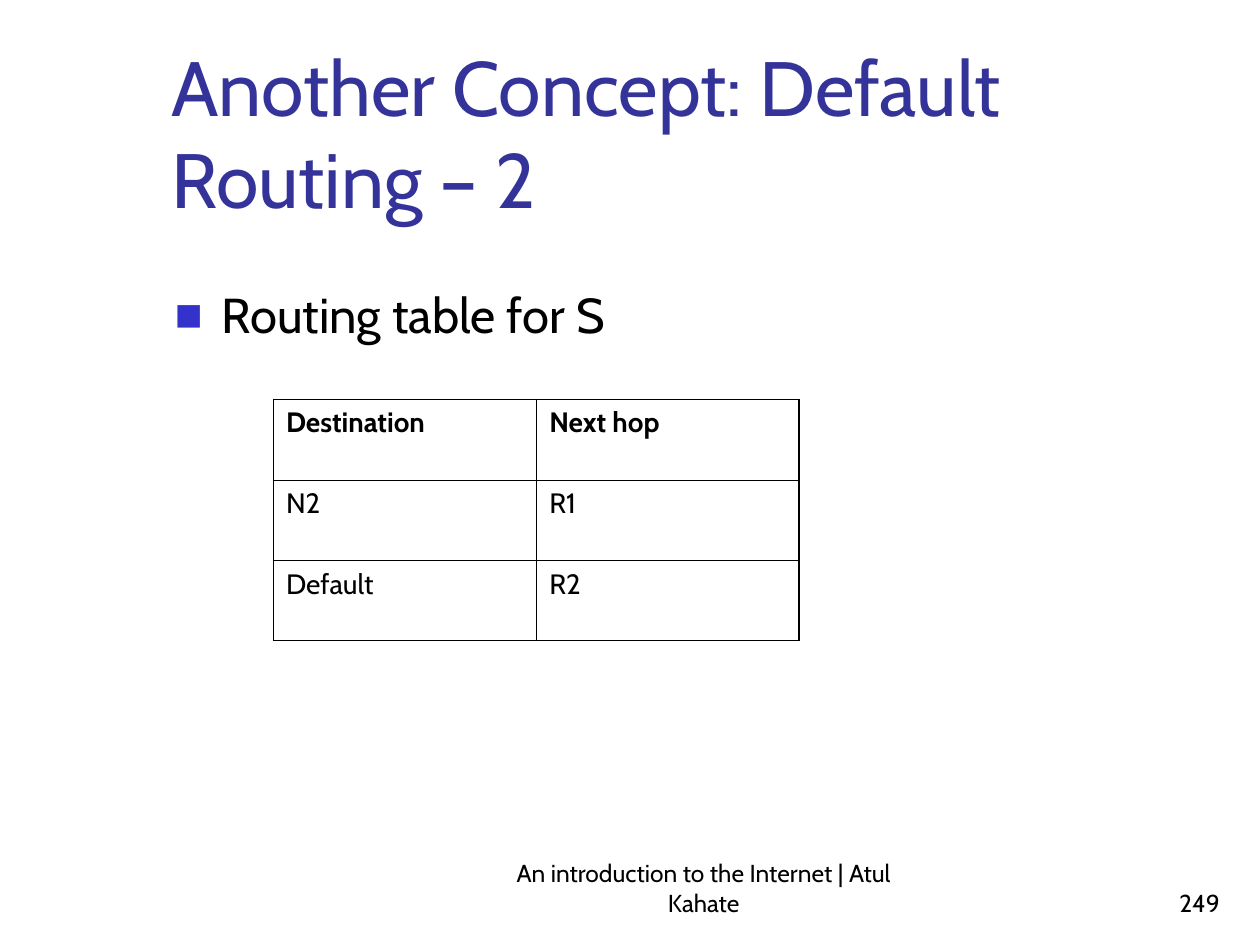
"""Build the slide on default routing with its routing table."""
from lxml import etree
from pptx import Presentation
from pptx.dml.color import RGBColor
from pptx.enum.text import MSO_ANCHOR, PP_ALIGN
from pptx.oxml.ns import qn
from pptx.util import Inches, Pt

LEFT, CENTER, RIGHT = PP_ALIGN.LEFT, PP_ALIGN.CENTER, PP_ALIGN.RIGHT
TOP, BOTTOM = MSO_ANCHOR.TOP, MSO_ANCHOR.BOTTOM
BLACK = RGBColor(0x00, 0x00, 0x00)
WHITE = RGBColor(0xFF, 0xFF, 0xFF)
TITLE_BLUE = RGBColor(0x33, 0x33, 0x99)
BULLET_BLUE = RGBColor(0x33, 0x33, 0xCC)
THIN, THICK = Pt(0.45), Pt(1.08)

ROUTES = [("Destination", "Next hop"), ("N2", "R1"), ("Default", "R2")]
COLUMN_WIDTHS = [2.09, 2.08]
ROW_HEIGHTS = [0.64, 0.64, 0.63]


class SlideBuilder:
    def __init__(self, slide, font="Cabin"):
        self.slide = slide
        self.font = font

    def run(self, paragraph, text, size, color=BLACK, bold=False):
        run = paragraph.add_run()
        run.text = text
        run.font.name = self.font
        run.font.size = Pt(size)
        run.font.bold = bold
        run.font.color.rgb = color

    def text(self, box, text, size, color=BLACK, align=LEFT, anchor=TOP):
        shape = self.slide.shapes.add_textbox(*map(Inches, box))
        frame = shape.text_frame
        frame.word_wrap = True
        frame.vertical_anchor = anchor
        paragraph = frame.paragraphs[0]
        paragraph.alignment = align
        self.run(paragraph, text, size, color)
        return paragraph

    def bullet(self, box, text, size):
        paragraph = self.text(box, text, size)
        properties = paragraph._p.get_or_add_pPr()
        properties.set("marL", str(Inches(0.37)))
        properties.set("indent", str(Inches(-0.37)))
        color = etree.SubElement(properties, qn("a:buClr"))
        etree.SubElement(color, qn("a:srgbClr"), val=str(BULLET_BLUE))
        etree.SubElement(properties, qn("a:buSzPct"), val="60000")
        etree.SubElement(properties, qn("a:buFont"), typeface=self.font)
        etree.SubElement(properties, qn("a:buChar"), char="■")

    def border(self, cell, side, width):
        properties = cell._tc.get_or_add_tcPr()
        line = etree.SubElement(properties, qn(f"a:ln{side}"), w=str(width))
        fill = etree.SubElement(line, qn("a:solidFill"))
        etree.SubElement(fill, qn("a:srgbClr"), val=str(BLACK))

    def table(self, left, top, rows, widths, heights, size):
        frame = self.slide.shapes.add_table(
            len(rows), len(widths), Inches(left), Inches(top),
            Inches(sum(widths)), Inches(sum(heights)))
        table = frame.table
        for column, width in zip(table.columns, widths):
            column.width = Inches(width)
        for row, height in zip(table.rows, heights):
            row.height = Inches(height)
        for row_index, row in enumerate(rows):
            for column_index, text in enumerate(row):
                cell = table.cell(row_index, column_index)
                outer = {"L": column_index == 0,
                         "R": column_index == len(row) - 1,
                         "T": row_index == 0,
                         "B": False}
                for side, is_outer in outer.items():
                    self.border(cell, side, THICK if is_outer else THIN)
                cell.fill.solid()
                cell.fill.fore_color.rgb = WHITE
                paragraph = cell.text_frame.paragraphs[0]
                paragraph.line_spacing = 1.01
                self.run(paragraph, text, size, bold=row_index == 0)


def main():
    presentation = Presentation()
    presentation.slide_width = Inches(10)
    presentation.slide_height = Inches(7.5)
    slide = presentation.slides.add_slide(presentation.slide_layouts[6])
    builder = SlideBuilder(slide)
    builder.text((4, 6.83, 3.17, 0.5),
                 "An introduction to the Internet | Atul Kahate",
                 14, align=CENTER, anchor=BOTTOM)
    builder.text((7.7, 6.83, 2.08, 0.5), "249", 14, align=RIGHT, anchor=BOTTOM)
    builder.text((1.26, 0.23, 8.52, 1.6), "Another Concept: Default Routing – 2",
                 44, TITLE_BLUE, anchor=BOTTOM)
    builder.bullet((1.29, 2.21, 4.17, 4.5), "Routing table for S", 28)
    builder.table(2.17, 3.17, ROUTES, COLUMN_WIDTHS, ROW_HEIGHTS, 16)
    presentation.save("out.pptx")


if __name__ == "__main__":
    main()
